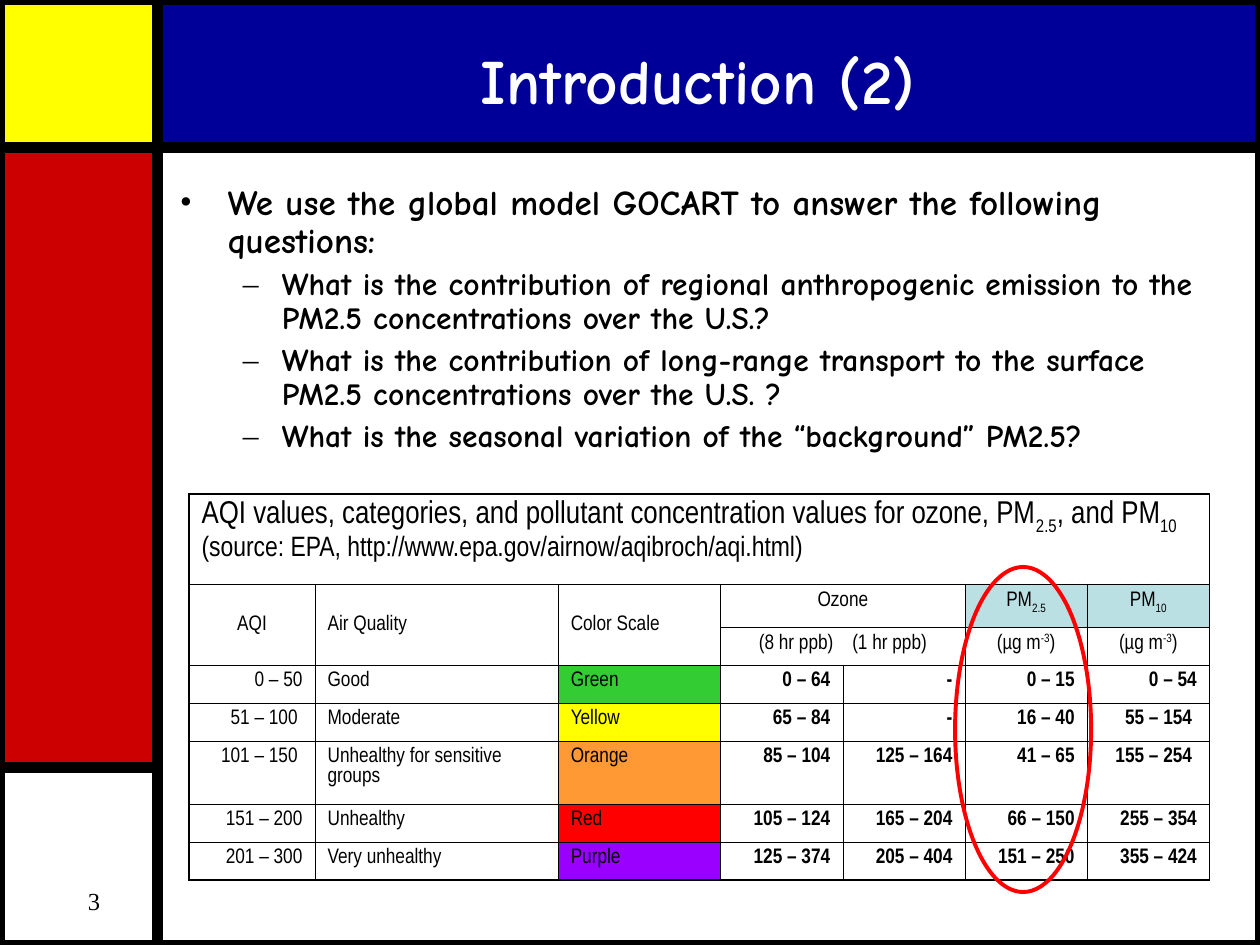
from dataclasses import dataclass
from typing import NamedTuple

import pptx
import pptx.dml.color
import pptx.enum.shapes
import pptx.enum.text
import pptx.oxml.ns
import pptx.util
from lxml import etree
from pptx.util import Inches

COLORS = {
    "black": "000000", "white": "FFFFFF", "navy": "000099", "crimson": "CC0000",
    "yellow": "FFFF00", "header": "BBE0E3", "green": "33CC33", "orange": "FF9933",
    "red": "FF0000", "purple": "9900FF",
}
COMIC, NARROW, TIMES = "Comic Neue", "Arial Narrow", "Times New Roman"
ALIGN = pptx.enum.text.PP_ALIGN
MIDDLE = pptx.enum.text.MSO_ANCHOR.MIDDLE
SHAPE = pptx.enum.shapes.MSO_SHAPE
THIN, THICK = 0.45, 0.96


class Span(NamedTuple):
    text: str
    baseline: int = 0  # percent; negative for subscript
    tracking: float = 0  # points added after each character


class Panel(NamedTuple):
    left: float
    top: float
    width: float
    height: float
    color: str


@dataclass
class Category:
    aqi: str
    quality: str
    color: str
    concentrations: tuple[str, ...]


PANELS = [
    Panel(1.25, 1.17, 8.75, 6.33, "white"),
    Panel(0, 6.08, 1.25, 1.42, "white"),
    Panel(1.25, 0, 8.75, 1.17, "navy"),
    Panel(0, 1.17, 1.25, 4.92, "crimson"),
    Panel(0, 0, 1.25, 1.17, "yellow"),
]
QUESTIONS = [
    "What is the contribution of regional anthropogenic emission to the PM2.5 concentrations over the U.S.?",
    "What is the contribution of long-range transport to the surface PM2.5 concentrations over the U.S. ?",
    "What is the seasonal variation of the “background” PM2.5?",
]
CATEGORIES = [
    Category("0 – 50", "Good", "Green", ("0 – 64", "-", "0 – 15", "0 – 54")),
    Category("51 – 100 ", "Moderate", "Yellow", ("65 – 84", "-", "16 – 40", "55 – 154 ")),
    Category("101 – 150 ", "Unhealthy for sensitive groups", "Orange",
             ("85 – 104", "125 – 164", "41 – 65", "155 – 254 ")),
    Category("151 – 200", "Unhealthy", "Red", ("105 – 124", "165 – 204", "66 – 150", "255 – 354")),
    Category("201 – 300", "Very unhealthy", "Purple",
             ("125 – 374", "205 – 404", "151 – 250", "355 – 424")),
]
COLUMN_WIDTHS = [1, 1.93, 1.29] + [0.97] * 4
ROW_HEIGHTS = [0.72, 0.34, 0.3, 0.3, 0.3, 0.5, 0.3, 0.3]
HEAVY_RULES = {0, 1, 3, len(ROW_HEIGHTS)}


def rgb(name: str) -> pptx.dml.color.RGBColor:
    return pptx.dml.color.RGBColor.from_string(COLORS[name])


def add_xml(parent, tag: str, **attributes: str):
    child = etree.SubElement(parent, pptx.oxml.ns.qn(tag))
    for key, value in attributes.items():
        child.set(key, value)
    return child


def write(paragraph, text: str | list[Span], *, size: float, font: str = NARROW,
          color: str = "black", bold: bool = False, align=ALIGN.LEFT, margin: float = 0,
          hanging: float = 0, bullet: str = "", spacing: float = 1, before: float = 0) -> None:
    """Fill a paragraph with formatted text."""
    paragraph.alignment = align
    paragraph.line_spacing = spacing
    paragraph.space_before = pptx.util.Pt(before)
    properties = paragraph._p.get_or_add_pPr()
    properties.set("marL", str(Inches(margin)))
    properties.set("indent", str(-Inches(hanging)))
    if bullet:
        add_xml(add_xml(properties, "a:buClr"), "a:srgbClr", val=COLORS["black"])
        add_xml(properties, "a:buFont", typeface=TIMES)
        add_xml(properties, "a:buChar", char=bullet)
    else:
        add_xml(properties, "a:buNone")
    for span in [Span(text)] if isinstance(text, str) else text:
        run = paragraph.add_run()
        run.text = span.text
        run.font.name, run.font.size, run.font.bold = font, pptx.util.Pt(size), bold
        run.font.color.rgb = rgb(color)
        if span.baseline:
            run._r.get_or_add_rPr().set("baseline", str(span.baseline * 1000))
        if span.tracking:
            run._r.get_or_add_rPr().set("spc", str(round(span.tracking * 100)))


def add_outline(slide, preset, left: float, top: float, width: float, height: float,
                line: str, weight: float, fill: str | None = None):
    shape = slide.shapes.add_shape(preset, Inches(left), Inches(top), Inches(width), Inches(height))
    shape.shadow.inherit = False
    if fill:
        shape.fill.solid()
        shape.fill.fore_color.rgb = rgb(fill)
    else:
        shape.fill.background()
    shape.line.color.rgb = rgb(line)
    shape.line.width = pptx.util.Pt(weight)
    return shape


def add_text_frame(slide, left: float, top: float, width: float, height: float):
    box = slide.shapes.add_textbox(Inches(left), Inches(top), Inches(width), Inches(height))
    box.text_frame.word_wrap = True
    return box.text_frame


def set_borders(cell, row: int, column: int) -> None:
    heavy = {
        "L": column == 0, "R": row == 0 or column == len(COLUMN_WIDTHS) - 1,
        "T": row in HEAVY_RULES, "B": row + 1 in HEAVY_RULES,
    }
    properties = cell._tc.get_or_add_tcPr()
    for index, (side, is_heavy) in enumerate(heavy.items()):
        width = pptx.util.Pt(THICK if is_heavy else THIN)
        border = add_xml(properties, f"a:ln{side}", w=str(width))
        add_xml(add_xml(border, "a:solidFill"), "a:srgbClr", val=COLORS["black"])
        properties.insert(index, border)


def add_aqi_table(slide) -> None:
    table = slide.shapes.add_table(
        len(ROW_HEIGHTS), len(COLUMN_WIDTHS), Inches(1.5), Inches(3.92),
        Inches(sum(COLUMN_WIDTHS)), Inches(sum(ROW_HEIGHTS))).table
    table.first_row = table.horz_banding = False
    for column, width in zip(table.columns, COLUMN_WIDTHS):
        column.width = Inches(width)
    for row, height in zip(table.rows, ROW_HEIGHTS):
        row.height = Inches(height)
    for row in range(len(ROW_HEIGHTS)):
        for column in range(len(COLUMN_WIDTHS)):
            cell = table.cell(row, column)
            cell.fill.background()
            set_borders(cell, row, column)

    def put(row: int, column: int, text: str | list[Span], fill: str = "", **text_format) -> None:
        cell = table.cell(row, column)
        if fill:
            cell.fill.solid()
            cell.fill.fore_color.rgb = rgb(fill)
        write(cell.text_frame.paragraphs[0], text, **{"size": 12, **text_format})

    # Caption row
    caption = table.cell(0, 0)
    caption.merge(table.cell(0, 6))
    put(0, 0, [Span("AQI values, categories, and pollutant concentration values for ozone, PM"),
               Span("2.5", -30), Span(", and PM"), Span("10", -30)], size=18)
    write(caption.text_frame.add_paragraph(),
          "(source: EPA, http://www.epa.gov/airnow/aqibroch/aqi.html)", size=16)

    # Column headings
    for column, heading in enumerate(["AQI", "Air Quality", "Color Scale"]):
        table.cell(1, column).merge(table.cell(2, column))
        table.cell(1, column).vertical_anchor = MIDDLE
        put(1, column, heading, align=ALIGN.LEFT if column else ALIGN.CENTER)
    for row in (1, 2):
        table.cell(row, 3).merge(table.cell(row, 4))
    put(1, 3, "Ozone", align=ALIGN.CENTER)
    put(2, 3, [Span("(8 hr ppb)"), Span(" ", tracking=8), Span("(1 hr ppb)")], align=ALIGN.CENTER)
    for column, particle_size in ((5, "2.5"), (6, "10")):
        put(1, column, [Span("PM"), Span(particle_size, -30)], "header", align=ALIGN.CENTER)
        put(2, column, [Span("(µg m"), Span("-3", 30), Span(")")], align=ALIGN.CENTER)

    # Categories
    for row, category in enumerate(CATEGORIES, start=3):
        put(row, 0, category.aqi, align=ALIGN.RIGHT)
        put(row, 1, category.quality)
        put(row, 2, category.color, category.color.lower())
        for column, concentration in enumerate(category.concentrations, start=3):
            put(row, column, concentration, bold=True, align=ALIGN.RIGHT)


def main() -> None:
    deck = pptx.Presentation()
    deck.slide_width, deck.slide_height = Inches(10), Inches(7.5)
    slide = deck.slides.add_slide(deck.slide_layouts[5])
    title = slide.shapes.title

    # Coloured panels, behind the title
    for panel in PANELS:
        shape = add_outline(slide, SHAPE.RECTANGLE, *panel[:4], "black", 6, panel.color)
        title.element.addprevious(shape.element)

    # Title
    title.left, title.top = Inches(1.33), Inches(0.17)
    title.width, title.height = Inches(8.42), Inches(0.92)
    title.text_frame.auto_size = pptx.enum.text.MSO_AUTO_SIZE.NONE
    title.text_frame.vertical_anchor = MIDDLE
    write(title.text_frame.paragraphs[0], "Introduction (2)", size=36, font=COMIC,
          color="white", bold=True, align=ALIGN.CENTER)

    # Questions
    body = add_text_frame(slide, 1.33, 1.42, 8.33, 2.25)
    write(body.paragraphs[0], "We use the global model GOCART to answer the following questions:",
          size=20, font=COMIC, bold=True, margin=0.38, hanging=0.38, bullet="•", spacing=0.9)
    for question in QUESTIONS:
        paragraph = body.add_paragraph()
        paragraph.level = 1
        write(paragraph, question, size=18, font=COMIC, bold=True, margin=0.81,
              hanging=0.31, bullet="–", spacing=0.9, before=4.5)

    # Table, with the fine particle column circled
    add_aqi_table(slide)
    add_outline(slide, SHAPE.OVAL, 7.58, 4.5, 1.08, 2.58, "red", 2.25)

    # Page number
    page_number = add_text_frame(slide, 0, 6.98, 1.25, 0.52)
    write(page_number.paragraphs[0], "3", size=14, font=TIMES, align=ALIGN.CENTER, margin=0.24)
    deck.save("out.pptx")


if __name__ == "__main__":
    main()
